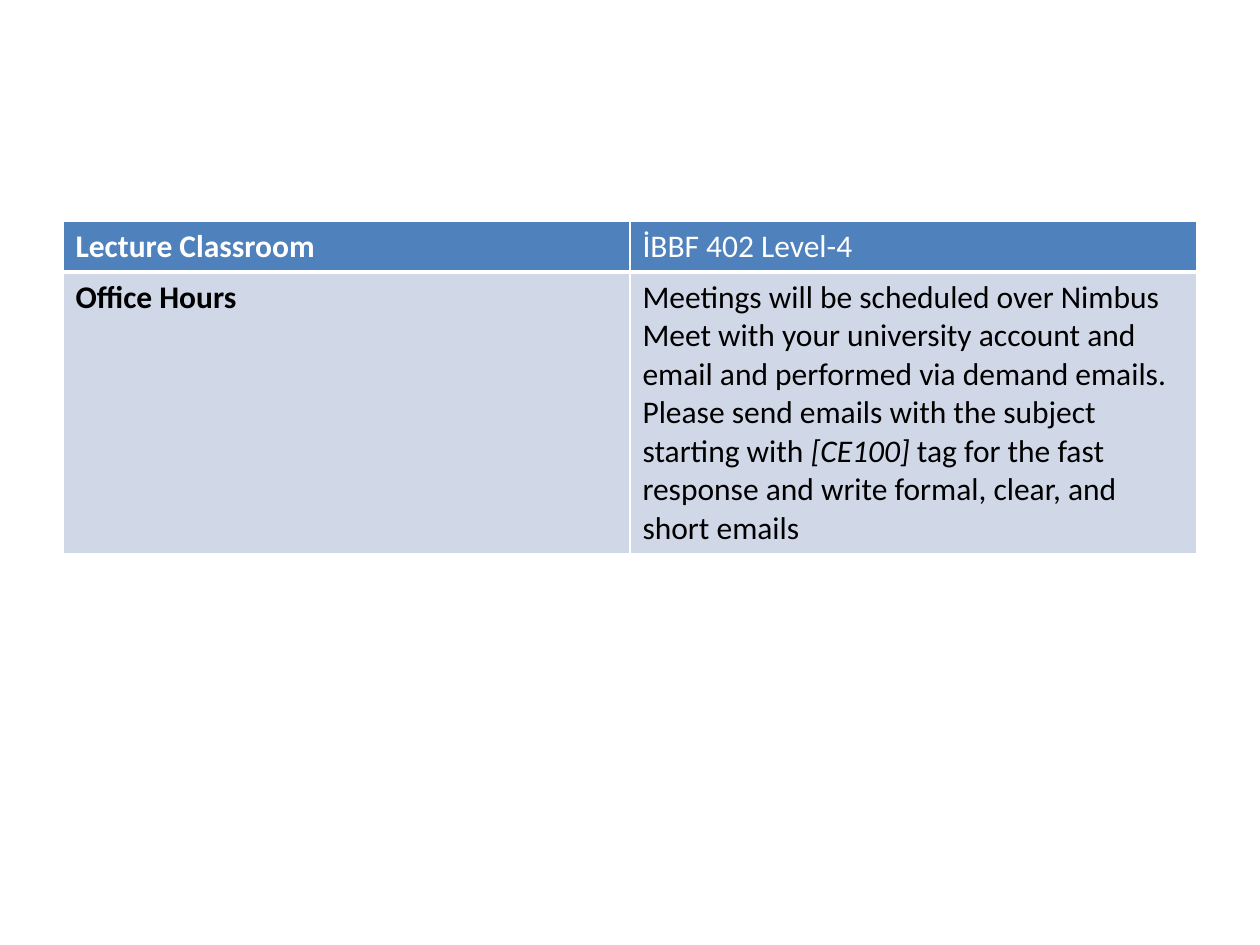
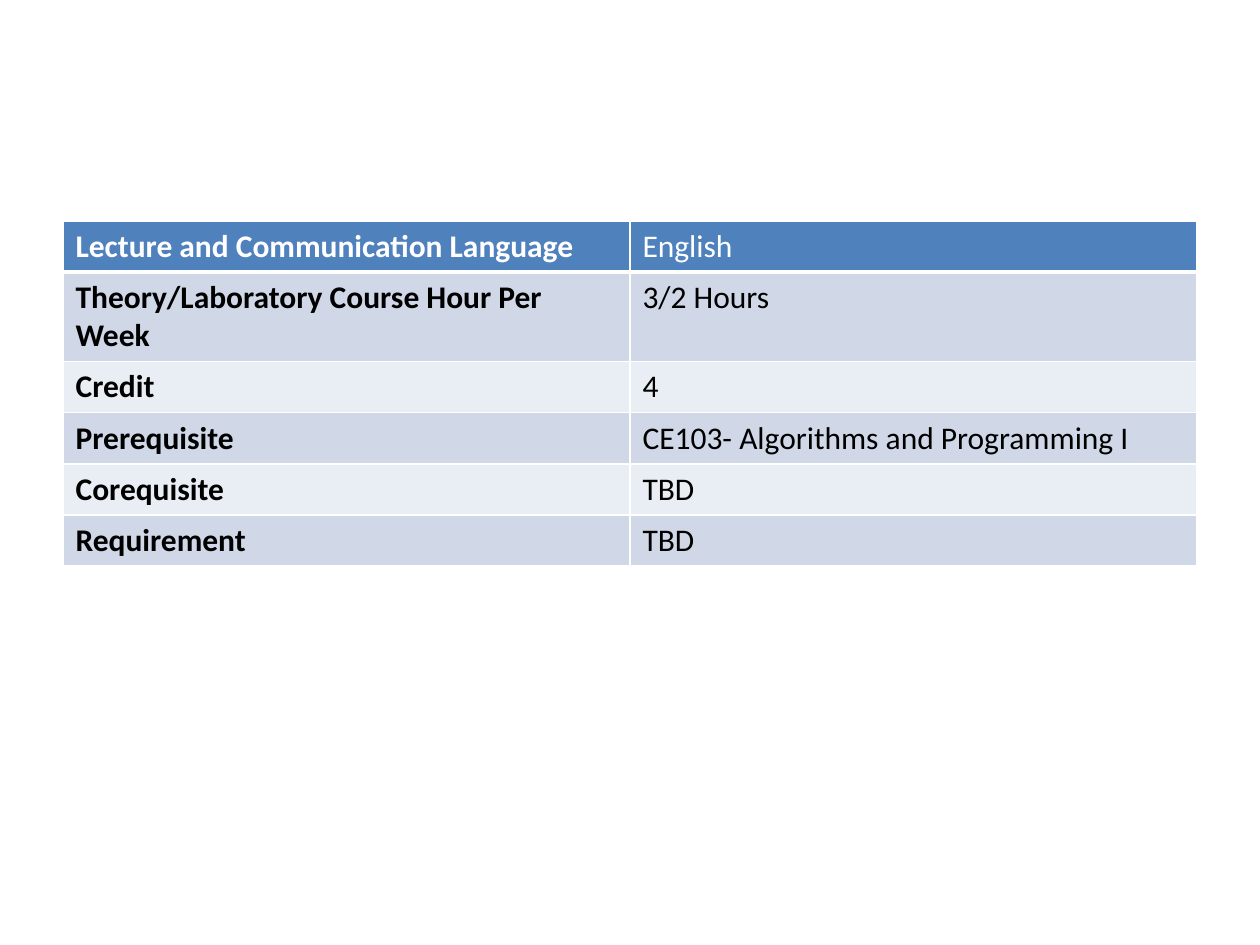
from dataclasses import dataclass

import pptx
import pptx.dml.color
import pptx.oxml.ns
import pptx.util
from lxml import etree

PX = 914400 // 126


@dataclass(frozen=True)
class Theme:
    font: str = "Calibri"
    size: int = 18
    header: str = "4F81BD"
    bands: tuple = ("D0D8E8", "E9EDF4")
    header_text: str = "FFFFFF"
    body_text: str = "000000"
    border: str = "FFFFFF"


THEME = Theme()
LEFT, TOP, COL_W = 63, 221, 567
ROW_PAD, LINE_H = 13, 38

# Each row: label, runs of the value as (text, italic), lines of text in the row
CLASSROOM_ROWS = [
    ("Lecture Classroom", [("İBBF 402 Level-4", False)], 1),
    ("Office Hours", [
        ("Meetings will be scheduled over Nimbus Meet with your university account "
         "and email and performed via demand emails. Please send emails with the "
         "subject starting with ", False),
        ("[CE100]", True),
        (" tag for the fast response and write formal, clear, and short emails", False),
    ], 7),
]
COURSE_ROWS = [
    ("Lecture and Communication Language", [("English", False)], 1),
    ("Theory/Laboratory Course Hour Per Week", [("3/2 Hours", False)], 2),
    ("Credit", [("4", False)], 1),
    ("Prerequisite", [("CE103- Algorithms and Programming I", False)], 1),
    ("Corequisite", [("TBD", False)], 1),
    ("Requirement", [("TBD", False)], 1),
]


def rgb(color):
    return pptx.dml.color.RGBColor.from_string(color)


def set_borders(cell, bottom):
    """Draw 1 pt borders, with the bottom one as wide as given in points."""
    qn = pptx.oxml.ns.qn
    tc_pr = cell._tc.get_or_add_tcPr()
    for side, width in (("L", 1), ("R", 1), ("T", 1), ("B", bottom)):
        ln = etree.SubElement(tc_pr, qn(f"a:ln{side}"), w=str(pptx.util.Pt(width)))
        fill = etree.SubElement(ln, qn("a:solidFill"))
        etree.SubElement(fill, qn("a:srgbClr"), val=THEME.border)


def fill_cell(cell, runs, bold, row):
    is_header = row == 0
    set_borders(cell, 3 if is_header else 1)
    cell.fill.solid()
    cell.fill.fore_color.rgb = rgb(THEME.header if is_header else THEME.bands[(row - 1) % 2])
    p = cell.text_frame.paragraphs[0]
    p.font.name = THEME.font
    p.font.size = pptx.util.Pt(THEME.size)
    p.font.color.rgb = rgb(THEME.header_text if is_header else THEME.body_text)
    for text, italic in runs:
        r = p.add_run()
        r.text = text
        r.font.bold = bold
        if italic:
            r.font.italic = True


def add_info_slide(prs, rows):
    s = prs.slides.add_slide(prs.slide_layouts[6])
    heights = [ROW_PAD + LINE_H * lines for _, _, lines in rows]
    table = s.shapes.add_table(len(rows), 2, LEFT * PX, TOP * PX,
                               2 * COL_W * PX, sum(heights) * PX).table
    for col in table.columns:
        col.width = COL_W * PX
    for i, (label, value, _) in enumerate(rows):
        table.rows[i].height = heights[i] * PX
        fill_cell(table.cell(i, 0), [(label, False)], True, i)
        fill_cell(table.cell(i, 1), value, False, i)


def main():
    prs = pptx.Presentation()
    prs.slide_width, prs.slide_height = 1260 * PX, 945 * PX
    for rows in (CLASSROOM_ROWS, COURSE_ROWS):
        add_info_slide(prs, rows)
    prs.save("out.pptx")


if __name__ == "__main__":
    main()
